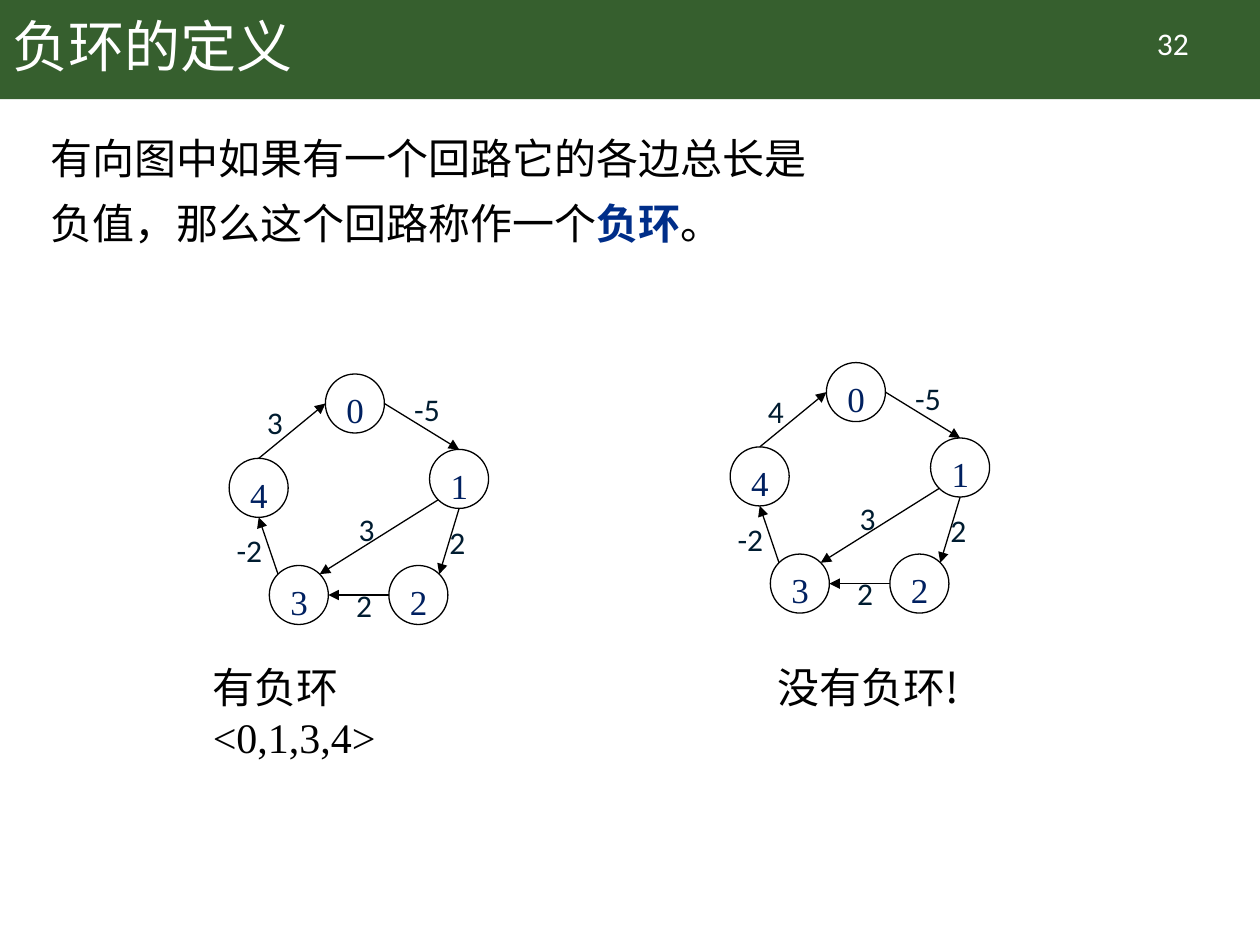
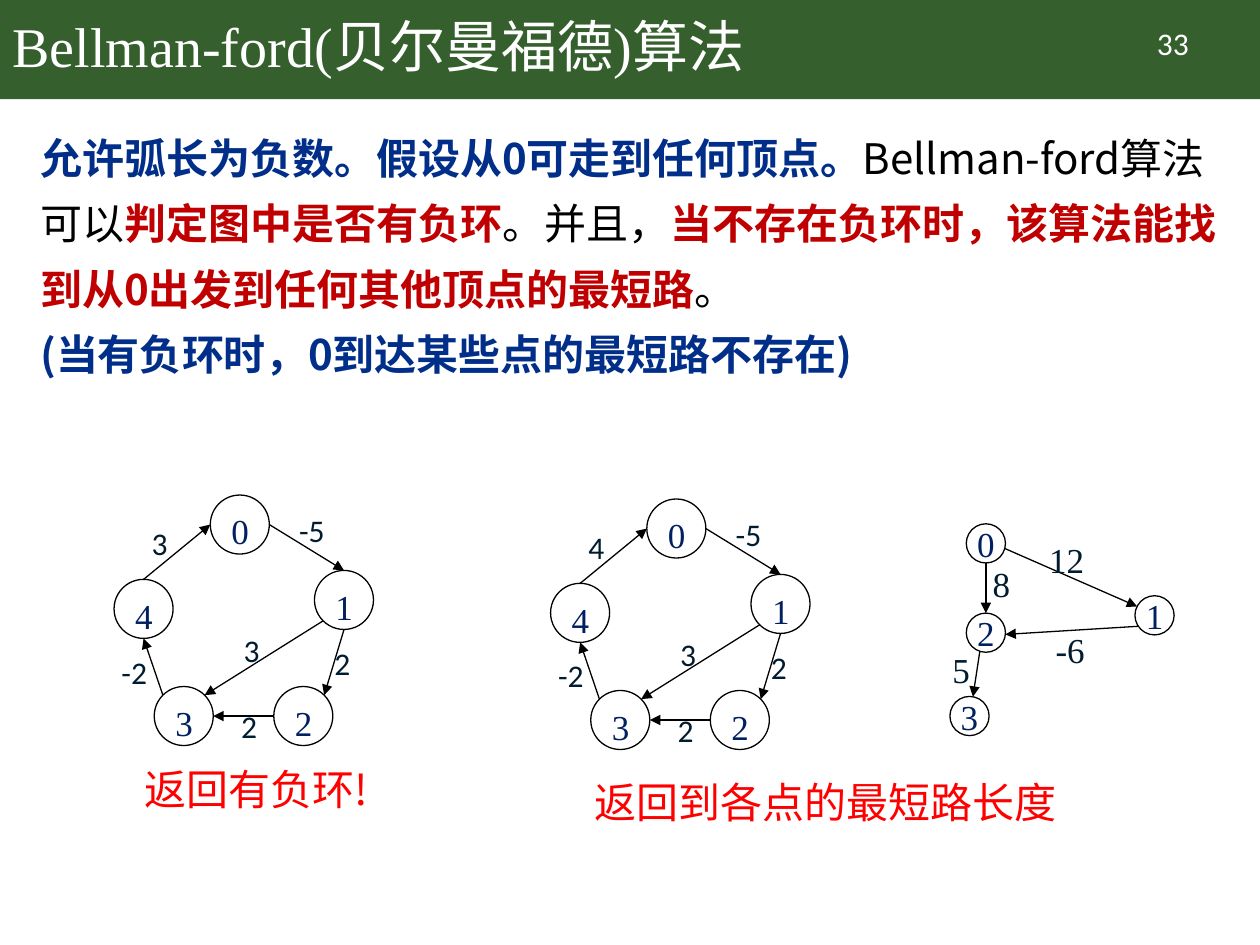
from math import cos, radians, sin

from lxml.etree import SubElement
from pptx import Presentation
from pptx.dml.color import RGBColor
from pptx.enum.shapes import MSO_CONNECTOR as Line, MSO_SHAPE as Shape
from pptx.enum.text import MSO_ANCHOR as Anchor, MSO_AUTO_SIZE as AutoSize, PP_ALIGN as Align
from pptx.oxml.ns import qn
from pptx.util import Cm, Pt

SANS, SERIF, LATIN = "Noto Sans CJK SC", "Times New Roman", "Calibri"
GREEN, WHITE, BLACK = "365F2E", "FFFFFF", "000000"
BLUE, DARK_RED, RED = "002E89", "C00000", "FF0000"
NODE_BLUE, WEIGHT_BLUE = "002060", "001C30"

TITLE = dict(size=32, name=SANS, color=WHITE)
NUMBER = dict(size=18, name=LATIN, color=WHITE)
BODY = dict(size=24, name=SANS, color=BLACK)
KEY = dict(BODY, color=BLUE, bold=True)
WARNING = dict(BODY, color=DARK_RED, bold=True)
RESULT = dict(BODY, color=RED)
NODE = dict(size=20, name=SERIF, color=NODE_BLUE)

# Edges: start node, angle, end node, angle, weight, weight position.
PENTAGON = dict(
    diameter=1.19,
    nodes={"0": (1.94, 0), "4": (0, 1.7), "2": (3.22, 3.86), "3": (0.81, 3.86), "1": (4.04, 1.52)},
    edges=[
        ("4", -90, "0", 180, "3", (0.51, 0.46)),
        ("0", 0, "1", -90, "-5", (3.48, 0.2)),
        ("1", 135, "3", -45, "3", (2.36, 2.62)),
        ("3", -135, "4", 90, "-2", (-0.1, 3.05)),
        ("1", 90, "2", -45, "2", (4.19, 2.87)),
        ("2", 180, "3", 0, "2", (2.31, 4.14)),
    ],
    node_layout=dict(anchor=Anchor.TOP, align=Align.LEFT, wrap=True),
    weight_style=dict(size=18, name=LATIN, color=WEIGHT_BLUE),
    weight_size=(1.73, 1.02),
)
HEAVIER = dict(PENTAGON, edges=[("4", -90, "0", 180, "4", (0.51, 0.46))] + PENTAGON["edges"][1:])
SMALL = dict(
    diameter=0.79,
    nodes={"1": (3.73, 1.45), "2": (0.33, 1.8), "0": (0.33, 0), "3": (0, 3.48)},
    edges=[
        ("0", 90, "2", -90, "8", (0.61, 0.66)),
        ("0", 15, "1", 207, "12", (1.75, 0.18)),
        ("1", 146, "2", 5, "-6", (1.88, 1.98)),
        ("2", 108, "3", -80, "5", (-0.2, 2.39)),
    ],
    node_layout=dict(anchor=Anchor.MIDDLE, align=Align.CENTER, wrap=False),
    weight_style=dict(NODE, color=WEIGHT_BLUE),
    weight_size=(1.23, 1.1),
)

FIRST_NUMBER = 32
PAGES = [
    dict(
        title="负环的定义", title_style=TITLE, body_left=0.76,
        body=[[("有向图中如果有一个回路它的各边总长是\n负值，那么这个回路称作一个", BODY),
               ("负环", KEY), ("。", BODY)]],
        graphs=[(PENTAGON, 4.62, 7.54), (HEAVIER, 14.72, 7.31)],
        captions=[("有负环<0,1,3,4>", dict(BODY, name=SERIF), (4.04, 13.21, 6, 1.27)),
                  ("没有负环!", BODY, (15.42, 13.21, 3.9, 1.27))],
    ),
    dict(
        title="Bellman-ford(贝尔曼福德)算法", title_style=dict(TITLE, name=SERIF), body_left=0.56,
        body=[[("允许弧长为负数。假设从0可走到任何顶点。", KEY), ("Bellman-ford算法可以", BODY),
               ("判定图中是否有负环", WARNING), ("。并且，", BODY),
               ("当不存在负环时，该算法能找到从0出发到任何其他顶点的最短路", WARNING), ("。", BODY)],
              [("(当有负环时，0到达某些点的最短路不存在)", KEY)]],
        graphs=[(PENTAGON, 2.3, 9.98), (HEAVIER, 11.1, 10.06), (SMALL, 19.15, 10.56)],
        captions=[("返回有负环!", RESULT, (2.67, 15.27, 5.49, 1.27)),
                  ("返回到各点的最短路长度", RESULT, (11.73, 15.52, 10.57, 1.27))],
    ),
]


def rgb(value):
    """Turn a hex string into a colour."""
    return RGBColor.from_string(value)


def lengths(values):
    """Turn centimetre numbers into lengths."""
    return [Cm(value) for value in values]


def add_span(para, text, style):
    """Add a formatted run to a paragraph."""
    span = para.add_run()
    span.text = text
    font = span.font
    for key, value in style.items():
        if key == "color":
            font.color.rgb = rgb(value)
        else:
            setattr(font, key, Pt(value) if key == "size" else value)
    SubElement(span._r.get_or_add_rPr(), qn("a:ea")).set("typeface", SANS)


def write(box, paragraphs, anchor=Anchor.TOP, align=Align.LEFT, wrap=True, spacing=None):
    """Fill a shape with paragraphs of (text, style) spans."""
    frame = box.text_frame
    frame.auto_size = AutoSize.NONE
    frame.word_wrap, frame.vertical_anchor = wrap, anchor
    for index, spans in enumerate(paragraphs):
        para = frame.add_paragraph() if index else frame.paragraphs[0]
        para.alignment, para.line_spacing = align, spacing
        for text, style in spans:
            for row, line in enumerate(text.split("\n")):
                if row:
                    para.add_line_break()
                add_span(para, line, style)


def add_text(shapes, text, style, place, **layout):
    """Add a one-paragraph text box."""
    write(shapes.add_textbox(*lengths(place)), [[(text, style)]], **layout)


def add_arrow(shapes, start, end):
    """Draw a thin black line with an arrowhead at its end."""
    arrow = shapes.add_connector(Line.STRAIGHT, *lengths(start + end))
    arrow.line.color.rgb = rgb(BLACK)
    arrow.line.width = Pt(0.75)
    SubElement(arrow.line._get_or_add_ln(), qn("a:tailEnd")).set("type", "triangle")
    SubElement(arrow._element.spPr, qn("a:effectLst"))


def add_graph(page, graph, left, top):
    """Draw a weighted directed graph as one group."""
    shapes = page.shapes.add_group_shape().shapes
    radius = graph["diameter"] / 2

    def rim(name, angle):
        """Find the point of a node's rim at a clockwise angle."""
        x, y = graph["nodes"][name]
        turn = radians(angle)
        return (left + x + radius * (1 + cos(turn)), top + y + radius * (1 + sin(turn)))

    for name, (x, y) in graph["nodes"].items():
        circle = shapes.add_shape(Shape.OVAL, *lengths((left + x, top + y, 2 * radius, 2 * radius)))
        circle.shadow.inherit = False
        circle.fill.background()
        circle.line.color.rgb = rgb(BLACK)
        circle.line.width = Pt(0.75)
        write(circle, [[(name, NODE)]], **graph["node_layout"])
    for source, leave, target, arrive, weight, (x, y) in graph["edges"]:
        add_arrow(shapes, rim(source, leave), rim(target, arrive))
        add_text(shapes, weight, graph["weight_style"], (left + x, top + y, *graph["weight_size"]))


def add_band(page, layout):
    """Put the green title band on the shared layout."""
    band = page.shapes.add_shape(Shape.RECTANGLE, *lengths((0, 0, 25.4, 2)))
    band.shadow.inherit = False
    band.fill.solid()
    band.fill.fore_color.rgb = rgb(GREEN)
    band.line.fill.background()
    layout.shapes._spTree.insert(2, band._element)


def add_page(deck, number, content):
    """Build one slide from its content."""
    layout = deck.slide_layouts[5]
    page = deck.slides.add_slide(layout)
    if number == FIRST_NUMBER:
        add_band(page, layout)
    title = page.shapes.title
    title.left, title.top, title.width, title.height = lengths((0, 0, 21.89, 2))
    write(title, [[(content["title"], content["title_style"])]], anchor=Anchor.MIDDLE, spacing=0.9)
    add_text(page.shapes, str(number), NUMBER, (22.12, 0.36, 3.05, 1.02), align=Align.CENTER)
    body = page.shapes.add_textbox(*lengths((content["body_left"], 2.24, 24.3, 16.43)))
    write(body, content["body"], spacing=1.3)
    for graph, left, top in content["graphs"]:
        add_graph(page, graph, left, top)
    for caption, style, place in content["captions"]:
        add_text(page.shapes, caption, style, place)


def main():
    """Build and save the deck."""
    deck = Presentation()
    deck.slide_width, deck.slide_height = Cm(25.4), Cm(19.05)
    for number, content in enumerate(PAGES, FIRST_NUMBER):
        add_page(deck, number, content)
    deck.save("out.pptx")


if __name__ == "__main__":
    main()
